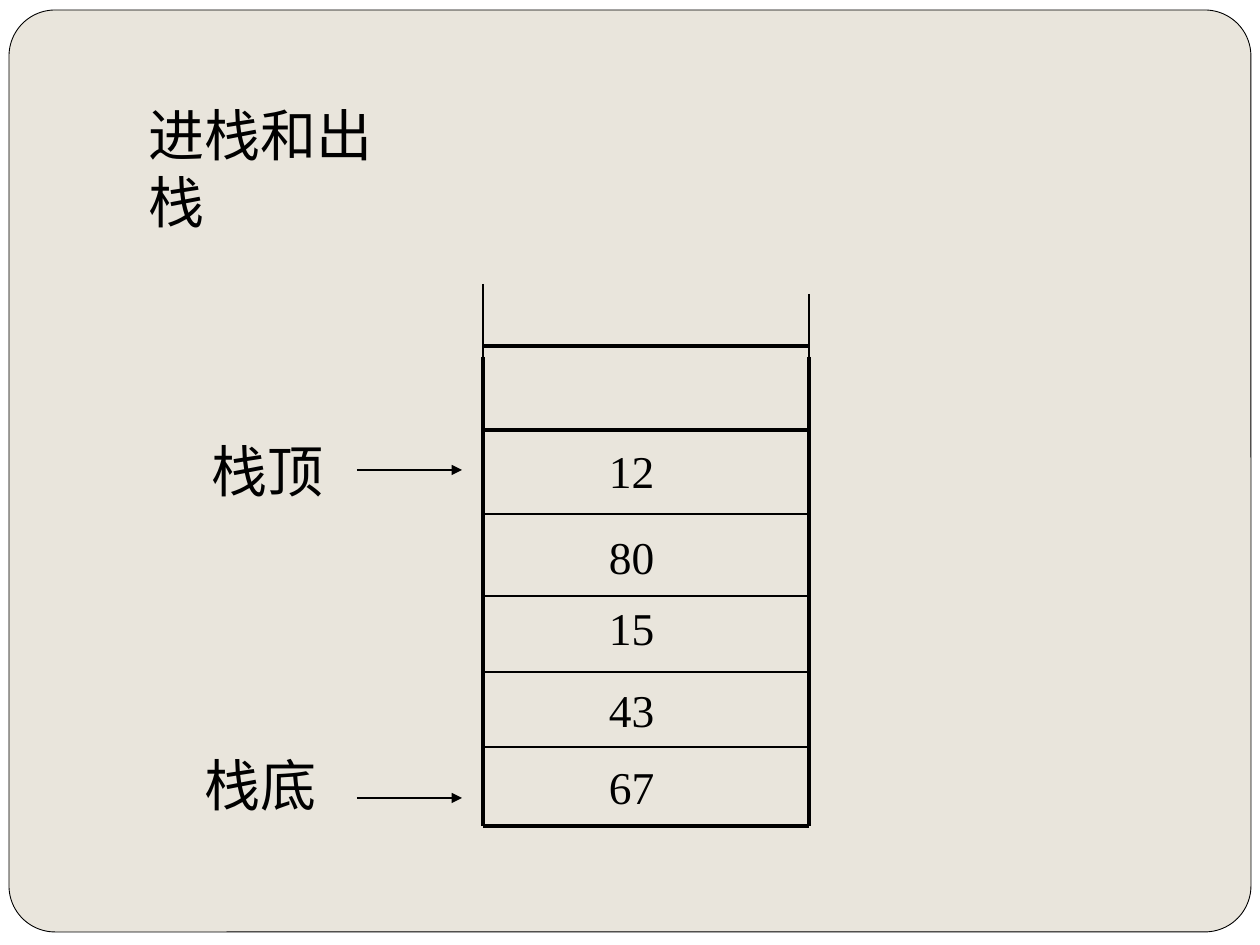
from dataclasses import dataclass

import pptx
import pptx.dml.color
import pptx.enum.shapes
import pptx.enum.text
import pptx.oxml
import pptx.oxml.ns
import pptx.util

PX = 914400 // 126  # one px in EMU


@dataclass(frozen=True)
class Theme:
    paper: str = "FFFFFF"
    panel: str = "E9E5DC"
    ink: str = "000000"
    font: str = "Times New Roman"
    head: int = 32
    cell: int = 26


@dataclass(frozen=True)
class Line:
    x1: int
    y1: int
    x2: int
    y2: int
    width: float
    arrow: bool = False


@dataclass(frozen=True)
class Label:
    text: str
    left: int
    top: int
    width: int
    height: int
    size: int
    inset: int = 13
    drop: int = 6


THEME = Theme()


def px(n: int) -> int:
    return pptx.util.Emu(n * PX)


def color(code: str) -> pptx.dml.color.RGBColor:
    return pptx.dml.color.RGBColor.from_string(code)


def add_line(slide, line: Line) -> None:
    kind = pptx.enum.shapes.MSO_CONNECTOR.STRAIGHT
    ends = [px(n) for n in (line.x1, line.y1, line.x2, line.y2)]
    shape = slide.shapes.add_connector(kind, *ends)
    shape.line.width = pptx.util.Pt(line.width)
    shape.line.color.rgb = color(THEME.ink)
    if line.arrow:
        tip = pptx.oxml.ns.qn("a:tailEnd")
        shape.line._get_or_add_ln().makeelement
        node = shape.line._get_or_add_ln()
        node.append(node.makeelement(tip, {"type": "triangle"}))
    props = shape._element.spPr
    props.append(props.makeelement(pptx.oxml.ns.qn("a:effectLst"), {}))


def add_label(slide, label: Label) -> None:
    area = [px(n) for n in (label.left, label.top, label.width, label.height)]
    frame = slide.shapes.add_textbox(*area).text_frame
    frame.word_wrap = True
    frame.vertical_anchor = pptx.enum.text.MSO_ANCHOR.TOP
    frame.margin_left, frame.margin_top = px(label.inset), px(label.drop)
    para = frame.paragraphs[0]
    para.text = label.text
    para.font.name = THEME.font
    para.font.size = pptx.util.Pt(label.size)
    para.font.color.rgb = color(THEME.ink)


def add_panel(slide) -> None:
    fill = slide.background.fill
    fill.solid()
    fill.fore_color.rgb = color(THEME.paper)
    kind = pptx.enum.shapes.MSO_SHAPE.ROUNDED_RECTANGLE
    panel = slide.shapes.add_shape(kind, px(9), px(10), px(1242), px(922))
    panel.adjustments[0] = 0.05
    panel.shadow.inherit = False
    panel.fill.solid()
    panel.fill.fore_color.rgb = color(THEME.panel)
    panel.line.color.rgb = color(THEME.ink)
    panel.line.width = pptx.util.Pt(0.5)


def main() -> None:
    deck = pptx.Presentation()
    deck.slide_width, deck.slide_height = px(1260), px(945)
    slide = deck.slides.add_slide(deck.slide_layouts[6])
    add_panel(slide)

    # Stack: shelves, walls and open top
    left, right, base = 483, 809, 826
    thick, thin, fine = 2.25, 1, 0.75
    shelves = [(346, thick), (430, thick), (514, thin), (596, thin),
               (672, thin), (747, thin), (base, thick)]
    for y, width in shelves:
        add_line(slide, Line(left, y, right, y, width))
    for x in (left, right):
        add_line(slide, Line(x, 357, x, base, thick))
    add_line(slide, Line(left, 284, left, 399, fine))
    add_line(slide, Line(left, 294, left, 336, fine))
    add_line(slide, Line(right, 294, right, 399, 1.5))

    # Stored values
    values = [("12", 431), ("80", 517), ("15", 588), ("43", 670), ("67", 747)]
    for text, top in values:
        add_label(slide, Label(text, left, top, right - left, 76,
                               THEME.cell, inset=126, drop=12))

    # Title, pointers and their arrows
    names = [("进栈和出栈", 136, 94, 305), ("栈顶", 199, 431, 141),
             ("栈底", 192, 745, 141)]
    for text, x, y, width in names:
        add_label(slide, Label(text, x, y, width, 79, THEME.head))
    for y in (470, 798):
        add_line(slide, Line(357, y, 462, y, fine, arrow=True))

    deck.save("out.pptx")


if __name__ == "__main__":
    main()
